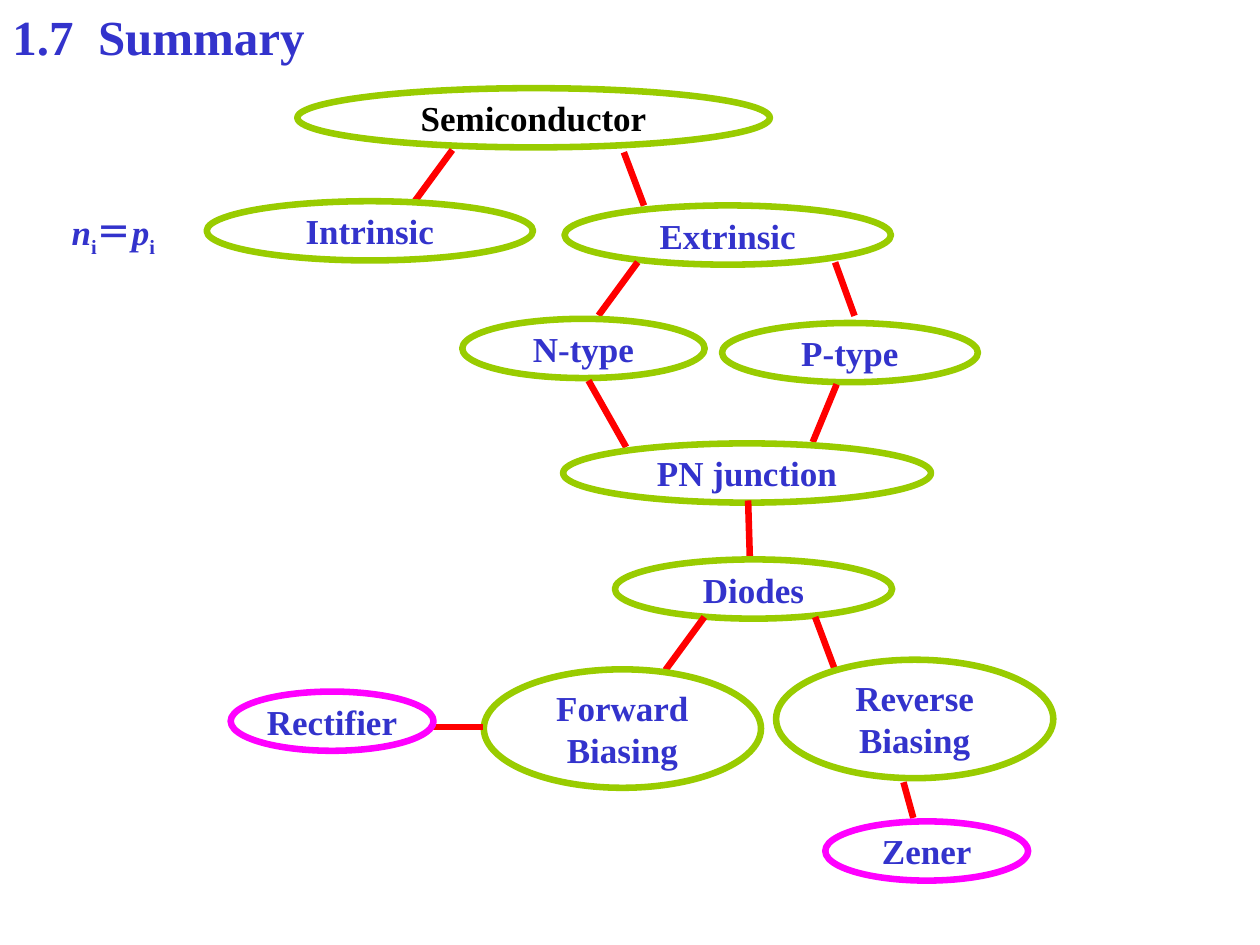
import pptx
import pptx.util
import pptx.dml.color
import pptx.enum.shapes
import pptx.enum.text
import pptx.oxml.ns
from lxml import etree

Pt = pptx.util.Pt
BLUE, BLACK, RED = "3333CC", "000000", "FF0000"
GREEN, PINK = "99CC00", "FF00FF"
FONT, EDGE, ROW = "Times New Roman", 3.75, 33.84

TITLE = [("1.7  Summary", "")]
RULE = [("n", "i"), ("i", "sub"), ("＝", ""), ("p", "i"), ("i", "sub")]

# label, left, top, width, rows, edge colour, text colour, links in
NODES = [
    ("Semiconductor", 169.9, 50.4, 270, 1, GREEN, BLACK, []),
    ("Intrinsic", 118.1, 115, 186.5, 1, GREEN, BLUE,
     [(236.5, 115.7, 258.5, 85.7)]),
    ("Extrinsic", 322.6, 117.4, 186.5, 1, GREEN, BLUE,
     [(356.5, 87, 368, 117.5)]),
    ("N-type", 264.2, 182.2, 138.5, 1, GREEN, BLUE,
     [(342, 180.3, 364.4, 149.8)]),
    ("P-type", 412.6, 184.6, 146.2, 1, GREEN, BLUE,
     [(477.2, 149.9, 488.3, 180.5)]),
    ("PN junction", 321.8, 253.4, 210.2, 1, GREEN, BLUE,
     [(357.8, 255.5, 336.3, 217.5), (478.1, 219.6, 464.4, 252.7)]),
    ("Diodes", 351.4, 319.7, 158.4, 1, GREEN, BLUE,
     [(428.5, 319, 427.5, 286)]),
    ("Forward Biasing", 276.5, 382.5, 158.4, 2, GREEN, BLUE,
     [(380.2, 383, 402.5, 352.6)]),
    ("Reverse Biasing", 443.5, 377, 158.4, 2, GREEN, BLUE,
     [(465.8, 352.6, 477.2, 383)]),
    ("Rectifier", 131.8, 395.2, 115.9, 1, PINK, BLUE,
     [(247.7, 415.4, 275.8, 415.4)]),
    ("Zener", 471.6, 469.4, 115.9, 1, PINK, BLUE,
     [(516.3, 447, 521.9, 467.4)]),
]


def tint(code):
    return pptx.dml.color.RGBColor.from_string(code)


def write(frame, runs, size=20, color=BLUE, align=None, inset=(0, 0)):
    frame.word_wrap = True
    frame.margin_left = frame.margin_right = Pt(inset[0])
    frame.margin_top = frame.margin_bottom = Pt(inset[1])
    para = frame.paragraphs[0]
    para.alignment = align
    for text, style in runs:
        run = para.add_run()
        run.text = text
        font = run.font
        font.name, font.size, font.bold = FONT, Pt(size), True
        font.italic = style == "i"
        font.color.rgb = tint(color)
        if style == "sub":
            font._element.set("baseline", "-25000")


def label(slide, runs, box, **form):
    shape = slide.shapes.add_textbox(*map(Pt, box))
    write(shape.text_frame, runs, inset=(7.2, 3.6), **form)


def link(slide, ends):
    kind = pptx.enum.shapes.MSO_CONNECTOR.STRAIGHT
    line = slide.shapes.add_connector(kind, *map(Pt, ends))
    line.line.color.rgb = tint(RED)
    line.line.width = Pt(EDGE)
    etree.SubElement(line._element.spPr, pptx.oxml.ns.qn("a:effectLst"))


def node(slide, name, left, top, width, rows, edge, color):
    kind = pptx.enum.shapes.MSO_SHAPE.OVAL
    box = map(Pt, (left, top, width, ROW * rows))
    oval = slide.shapes.add_shape(kind, *box)
    oval.shadow.inherit = False
    oval.fill.background()
    oval.line.color.rgb = tint(edge)
    oval.line.width = Pt(EDGE)
    frame = oval.text_frame
    frame.vertical_anchor = pptx.enum.text.MSO_ANCHOR.MIDDLE
    write(frame, [(name, "")], color=color,
          align=pptx.enum.text.PP_ALIGN.CENTER)


def main():
    deck = pptx.Presentation()
    deck.slide_width, deck.slide_height = Pt(720), Pt(540)
    slide = deck.slides.add_slide(deck.slide_layouts[6])
    label(slide, TITLE, (0, 0, 425.5, 41), size=28)
    label(slide, RULE, (33.8, 116.6, 121.7, 34.6))
    for *form, links in NODES:
        for ends in links:
            link(slide, ends)
        node(slide, *form)
    deck.save("out.pptx")


if __name__ == "__main__":
    main()
